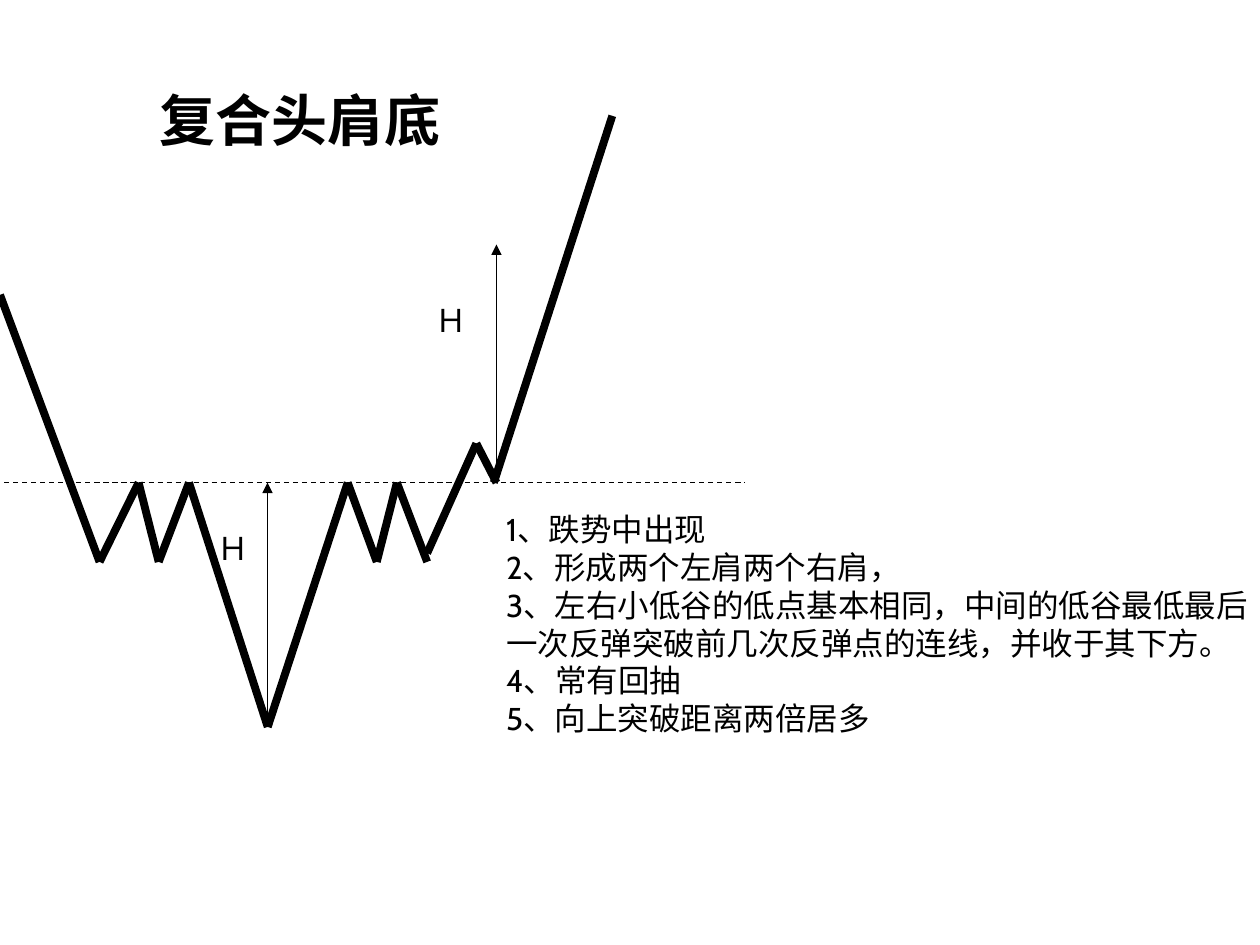
from itertools import pairwise

from lxml import etree
from pptx import Presentation
from pptx.dml.color import RGBColor
from pptx.enum.dml import MSO_LINE
from pptx.enum.shapes import MSO_CONNECTOR
from pptx.enum.text import MSO_ANCHOR, MSO_AUTO_SIZE, PP_ALIGN
from pptx.oxml.ns import qn
from pptx.util import Pt

COLORS = {"ink": "000000", "paper": "FFFFFF"}
FONT = "Cabin"

NECK, TROUGH, HEAD = 275.8, 321.1, 415.4
PRICE_PATHS = [
    [(0, 168.5), (56.9, TROUGH), (79.2, NECK), (90.7, TROUGH), (108, NECK),
     (153, HEAD), (198.7, NECK), (215.3, TROUGH), (226.8, NECK), (244.1, TROUGH)],
    [(244.1, 316.1), (272.2, 253.4), (283.7, NECK)],
    [(282.2, NECK), (349.9, 66.2)],
]
HEIGHT_ARROWS = [((283.7, NECK), (283.7, 139.7)), ((152.9, 411.8), (152.9, NECK))]
HEIGHT_LABELS = [(117.4, 298.8), (241.9, 168.5)]
NOTES = [
    "1、跌势中出现",
    "2、形成两个左肩两个右肩，",
    "3、左右小低谷的低点基本相同，中间的低谷最低最后",
    "一次反弹突破前几次反弹点的连线，并收于其下方。",
    "4、常有回抽",
    "5、向上突破距离两倍居多",
]


def add_line(s, start, end, width=0.75, dash=None, arrow=False):
    line = s.shapes.add_connector(MSO_CONNECTOR.STRAIGHT, *map(Pt, (*start, *end)))
    line.line.color.rgb = RGBColor.from_string(COLORS["ink"])
    line.line.width = Pt(width)
    if dash:
        line.line.dash_style = dash
    if arrow:
        ln = line.line._get_or_add_ln()
        etree.SubElement(ln, qn("a:tailEnd"), type="triangle")
    etree.SubElement(line._element.spPr, qn("a:effectLst"))


def add_path(s, points):
    for start, end in pairwise(points):
        add_line(s, start, end, width=4.5)


def write_text(sp, lines, size, bold=False, wrap=False):
    tf = sp.text_frame
    frame_format = {"word_wrap": wrap, "auto_size": MSO_AUTO_SIZE.NONE,
                    "vertical_anchor": MSO_ANCHOR.TOP}
    for name, value in frame_format.items():
        setattr(tf, name, value)
    for i, text in enumerate(lines):
        p = tf.add_paragraph() if i else tf.paragraphs[0]
        p.alignment = PP_ALIGN.LEFT
        p.line_spacing = 1.0
        p.space_before = Pt(0)
        r = p.add_run()
        r.text = text
        for name, value in {"name": FONT, "size": Pt(size), "bold": bold}.items():
            setattr(r.font, name, value)
        r.font.color.rgb = RGBColor.from_string(COLORS["ink"])


def add_text(s, box, lines, wrap=False):
    write_text(s.shapes.add_textbox(*map(Pt, box)), lines, 18, wrap=wrap)


def set_title(s, box, text):
    sp = s.shapes.title
    sp.left, sp.top, sp.width, sp.height = map(Pt, box)
    write_text(sp, [text], 32, bold=True)


def main():
    prs = Presentation()
    prs.slide_width, prs.slide_height = Pt(720), Pt(540)
    s = prs.slides.add_slide(prs.slide_layouts[5])
    s.background.fill.solid()
    s.background.fill.fore_color.rgb = RGBColor.from_string(COLORS["paper"])

    set_title(s, (84.2, 45.4, 175, 45.4), "复合头肩底")
    add_line(s, (-33.8, NECK), (425.5, NECK), dash=MSO_LINE.DASH)
    for points in PRICE_PATHS:
        add_path(s, points)
    for start, end in HEIGHT_ARROWS:
        add_line(s, start, end, arrow=True)
    for left, top in HEIGHT_LABELS:
        add_text(s, (left, top, 32.4, 28.8), ["Ｈ"])
    add_text(s, (282.2, 288, 438.5, 158.4), NOTES, wrap=True)
    prs.save("out.pptx")


if __name__ == "__main__":
    main()
